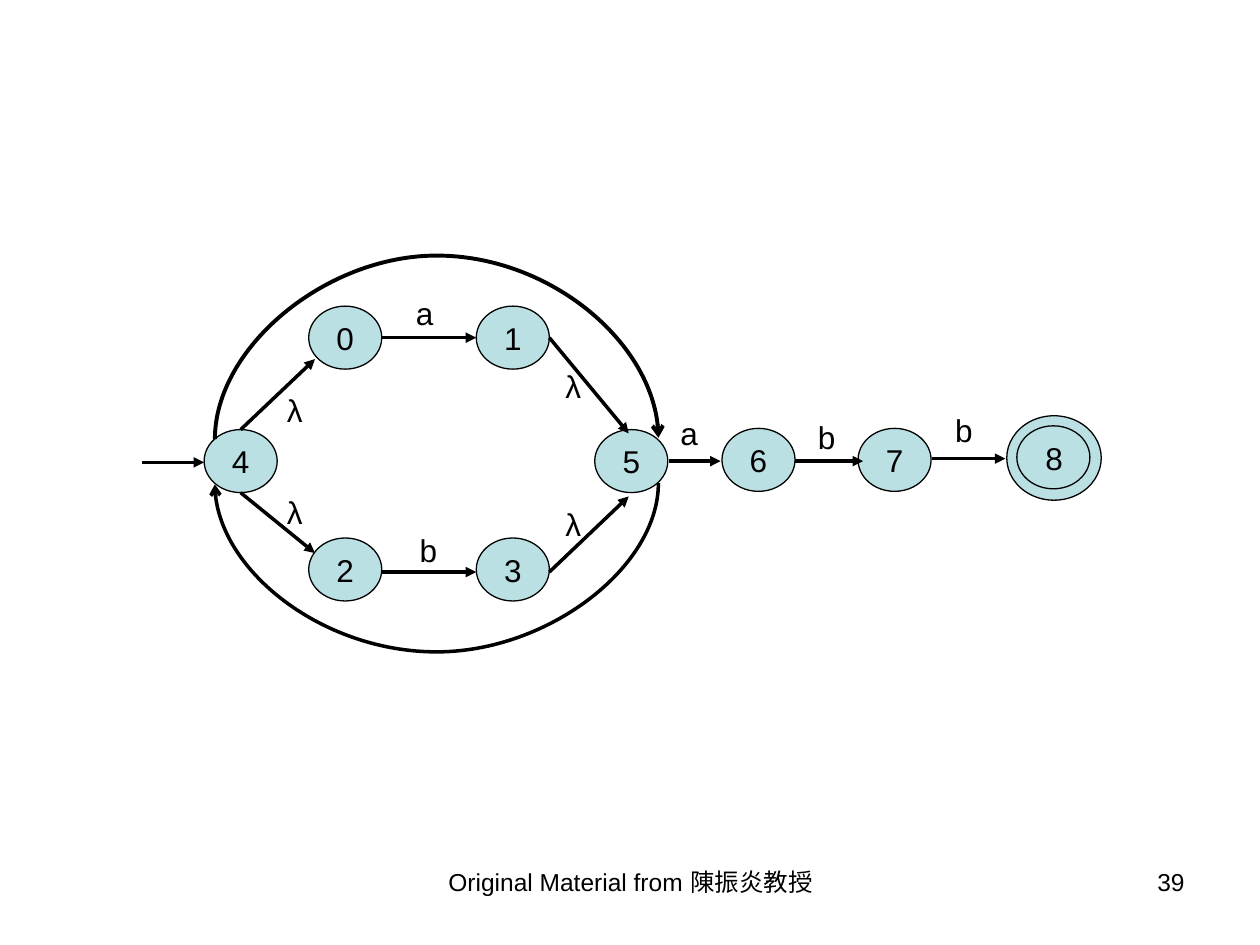
from lxml import etree
from pptx import Presentation
from pptx import util as u
from pptx.dml.color import RGBColor
from pptx.enum import shapes, text
from pptx.oxml import ns

BLACK, TEAL = "000000", "BBE0E3"
NODE_W, NODE_H = 0.58, 0.5


def rgb(value):
    return RGBColor.from_string(value)


def write(sp, content, size=18, align=text.PP_ALIGN.CENTER):
    p = sp.text_frame.paragraphs[0]
    p.text = content
    p.alignment = align
    for r in p.runs:
        r.font.name = "Arial"
        r.font.size = u.Pt(size)
        r.font.color.rgb = rgb(BLACK)


def center_text(sp, content):
    tf = sp.text_frame
    tf.word_wrap = False
    tf.vertical_anchor = text.MSO_ANCHOR.MIDDLE
    write(sp, content)


def add_state(s, x, y, name="", w=NODE_W, h=NODE_H, fill=TEAL):
    sp = s.shapes.add_shape(shapes.MSO_SHAPE.OVAL, *map(u.Inches, (x, y, w, h)))
    sp.shadow.inherit = False
    sp.line.color.rgb = rgb(BLACK)
    sp.line.width = u.Pt(0.75)
    if fill:
        sp.fill.solid()
        sp.fill.fore_color.rgb = rgb(fill)
    else:
        sp.fill.background()
    if name:
        center_text(sp, name)


def add_label(s, x, y, symbol):
    sp = s.shapes.add_textbox(*map(u.Inches, (x, y, 0.5, 0.33)))
    center_text(sp, symbol)


def add_arrow(s, x1, y1, x2, y2, kind=shapes.MSO_CONNECTOR.STRAIGHT,
              width=2, head="triangle"):
    sp = s.shapes.add_connector(kind, *map(u.Inches, (x1, y1, x2, y2)))
    sp.line.color.rgb = rgb(BLACK)
    sp.line.width = u.Pt(width)
    etree.SubElement(sp.line._get_or_add_ln(), ns.qn("a:tailEnd"), type=head)
    etree.SubElement(sp._element.spPr, ns.qn("a:effectLst"))
    return sp


def add_arc(s, x1, y1, x2, y2, bulge, width):
    sp = add_arrow(s, x1, y1, x2, y2, shapes.MSO_CONNECTOR.CURVE, width, "arrow")
    spPr = sp._element.spPr
    spPr.find(ns.qn("a:xfrm")).set("rot", "5400000")
    geom = spPr.find(ns.qn("a:prstGeom"))
    guides = geom.find(ns.qn("a:avLst"))
    if guides is None:
        guides = etree.SubElement(geom, ns.qn("a:avLst"))
    ratio = round(bulge / abs(x2 - x1) * 100000)
    etree.SubElement(guides, ns.qn("a:gd"), name="adj1", fmla=f"val {ratio}")


def add_footer(s, x, w, content, align):
    sp = s.shapes.add_textbox(*map(u.Inches, (x, 6.83, w, 0.52)))
    sp.text_frame.word_wrap = True
    write(sp, content, 14, align)


def main():
    prs = Presentation()
    prs.slide_width, prs.slide_height = u.Inches(10), u.Inches(7.5)
    s = prs.slides.add_slide(prs.slide_layouts[6])

    add_state(s, 7.99, 3.3, "8", 0.75, 0.67)
    add_state(s, 8.07, 3.38, fill=None)
    states = [("4", 1.62, 3.41), ("5", 4.72, 3.41), ("0", 2.45, 2.43),
              ("2", 2.45, 4.27), ("1", 3.78, 2.43), ("3", 3.78, 4.27),
              ("6", 5.73, 3.4), ("7", 6.81, 3.4)]
    for name, x, y in states:
        add_state(s, x, y, name)

    arrows = [(1.13, 3.67, 1.62, 3.67), (1.91, 3.41, 2.5, 2.85),
              (1.91, 3.91, 2.5, 4.39), (3.03, 2.68, 3.78, 2.68),
              (3.03, 4.54, 3.78, 4.54), (4.36, 2.68, 4.99, 3.44),
              (4.36, 4.54, 4.99, 3.94), (5.31, 3.66, 5.72, 3.66),
              (6.31, 3.66, 6.85, 3.66), (7.4, 3.64, 7.98, 3.64)]
    for ends in arrows:
        add_arrow(s, *ends)
    add_arc(s, 3.46, 2.08, 3.47, 5.6, 1.36, 2)
    add_arc(s, 3.47, 5.24, 3.46, 1.72, 1.48, 2.25)

    labels = [("λ", 2.09, 3.09), ("λ", 2.09, 3.9), ("λ", 4.3, 2.9),
              ("λ", 4.3, 3.99), ("a", 3.12, 2.32), ("b", 3.15, 4.2),
              ("a", 5.22, 3.27), ("b", 6.31, 3.3), ("b", 7.4, 3.25)]
    for symbol, x, y in labels:
        add_label(s, x, y, symbol)

    add_footer(s, 3.42, 3.17, "Original Material from 陳振炎教授", text.PP_ALIGN.CENTER)
    add_footer(s, 7.17, 2.33, "39", text.PP_ALIGN.RIGHT)
    prs.save("out.pptx")


if __name__ == "__main__":
    main()
